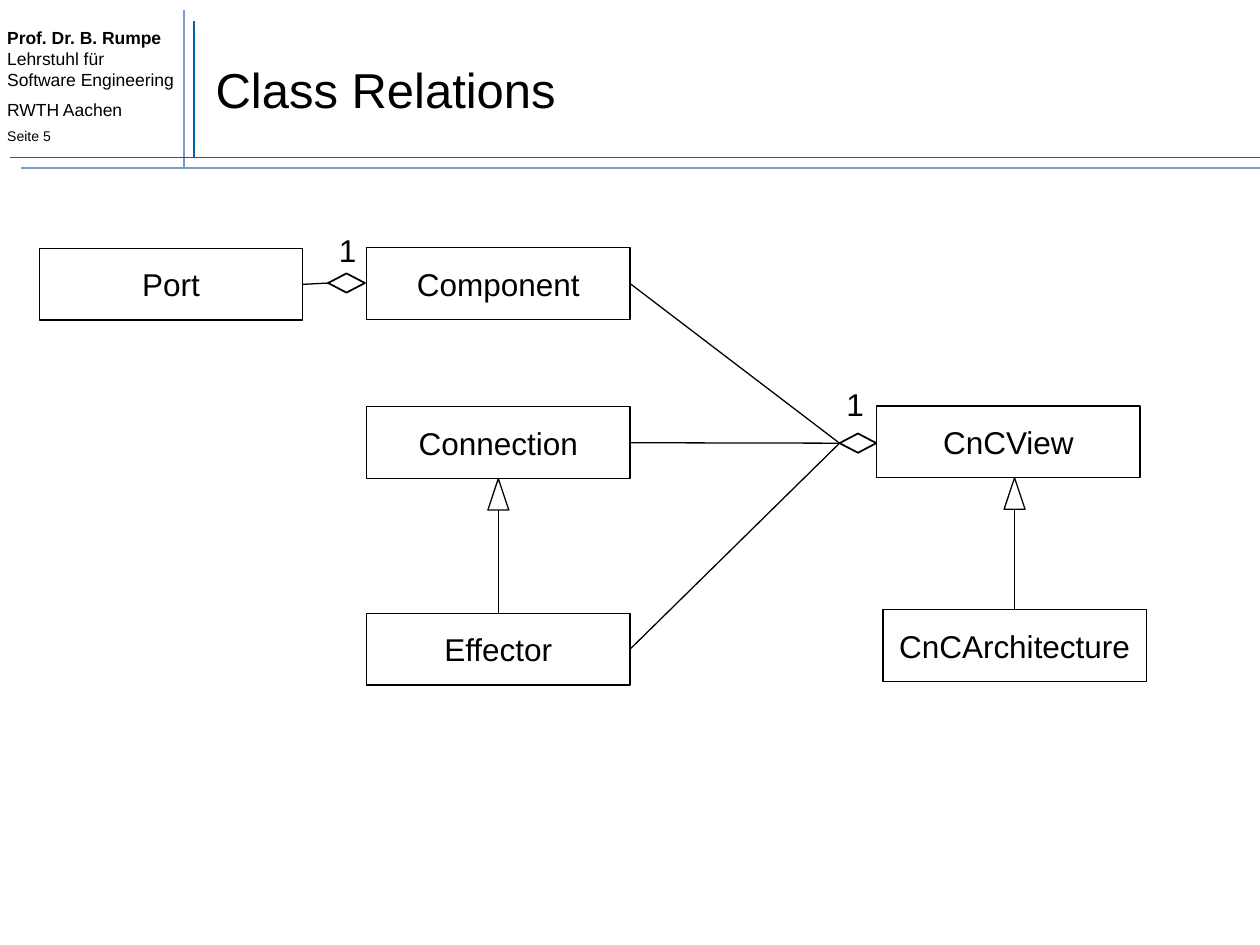
from lxml.etree import SubElement
from pptx import Presentation
from pptx.dml.color import RGBColor
from pptx.enum.shapes import MSO_CONNECTOR, MSO_SHAPE
from pptx.enum.text import MSO_ANCHOR, PP_ALIGN
from pptx.oxml.ns import qn
from pptx.util import Pt

BLACK = RGBColor(0, 0, 0)
WHITE = RGBColor(255, 255, 255)
DARK_BLUE = RGBColor(0x00, 0x67, 0xA6)
LIGHT_BLUE = RGBColor(0x77, 0x9E, 0xC9)
BOX_WIDTH, BOX_HEIGHT = 150.5, 41
TRIANGLE_WIDTH, TRIANGLE_HEIGHT = 12, 18

prs = Presentation()
prs.slide_width, prs.slide_height = Pt(720), Pt(540)
slide = prs.slides.add_slide(prs.slide_layouts[5])
shapes = slide.shapes


def write(paragraph, text, size, **extra):
    paragraph.text = text
    font_format = {"name": "Arial", "size": Pt(size), "bold": False} | extra
    for run in paragraph.runs:
        run.font.color.rgb = BLACK
        for attribute, value in font_format.items():
            setattr(run.font, attribute, value)


def draw_line(x1, y1, x2, y2, color=BLACK, width=0.75):
    line = shapes.add_connector(MSO_CONNECTOR.STRAIGHT, Pt(x1), Pt(y1), Pt(x2), Pt(y2))
    line.line.color.rgb = color
    line.line.width = Pt(width)
    SubElement(line._element.spPr, qn("a:effectLst"))
    return line


for x1, y1, x2, y2, color in [
    (111, 90, 111, 12, DARK_BLUE),
    (105, 96, 105, 6, LIGHT_BLUE),
    (6, 90, 720, 90, DARK_BLUE),
    (12, 96, 720, 96, LIGHT_BLUE),
]:
    draw_line(x1, y1, x2, y2, color, 1)

chair = shapes.add_textbox(Pt(-3), Pt(12), Pt(110.4), Pt(76)).text_frame
chair.word_wrap = True
write(chair.paragraphs[0], "Prof. Dr. B. Rumpe\vLehrstuhl für Software Engineering", 10)
chair.paragraphs[0].runs[0].font.bold = True
for text, size in [("RWTH Aachen", 10), ("Seite 5", 8)]:
    paragraph = chair.add_paragraph()
    paragraph.space_before = Pt(size / 2)
    write(paragraph, text, size)

title = shapes.title
for attribute, value in {"left": 116, "top": 18, "width": 595.5, "height": 66}.items():
    setattr(title, attribute, Pt(value))
title.text_frame.vertical_anchor = MSO_ANCHOR.MIDDLE
write(title.text_frame.paragraphs[0], "Class Relations", 28)
title.text_frame.paragraphs[0].alignment = PP_ALIGN.LEFT

classes = {}
for name, left, top in [
    ("CnCArchitecture", 504.5, 348.5),
    ("CnCView", 501, 232),
    ("Connection", 209.5, 232.5),
    ("Component", 209.5, 141.5),
    ("Effector", 209.5, 350.5),
    ("Port", 22.5, 142),
]:
    box = shapes.add_shape(MSO_SHAPE.RECTANGLE, Pt(left), Pt(top), Pt(BOX_WIDTH), Pt(BOX_HEIGHT))
    box.shadow.inherit = False
    box.fill.background()
    box.line.color.rgb = BLACK
    box.line.width = Pt(0.75)
    box.text_frame.vertical_anchor = MSO_ANCHOR.MIDDLE
    write(box.text_frame.paragraphs[0], name, 18)
    box.text_frame.paragraphs[0].alignment = PP_ALIGN.CENTER
    classes[name] = box

for child, parent in [("CnCArchitecture", "CnCView"), ("Effector", "Connection")]:
    center = classes[child].left.pt + BOX_WIDTH / 2
    tip = classes[parent].top.pt + BOX_HEIGHT
    triangle = shapes.add_shape(
        MSO_SHAPE.ISOSCELES_TRIANGLE, Pt(center - TRIANGLE_WIDTH / 2), Pt(tip),
        Pt(TRIANGLE_WIDTH), Pt(TRIANGLE_HEIGHT))
    triangle.shadow.inherit = False
    triangle.fill.background()
    triangle.line.color.rgb = BLACK
    triangle.line.width = Pt(0.75)
    inheritance = draw_line(center, classes[child].top.pt, center, tip + TRIANGLE_HEIGHT)
    inheritance.begin_connect(classes[child], 0)

for left, top, label_left, label_top, parts in [
    (479.75, 247.75, 476.5, 216.75, ["Component", "Connection", "Effector"]),
    (187.5, 156.25, 186.5, 128.25, ["Port"]),
]:
    diamond = shapes.add_shape(MSO_SHAPE.DIAMOND, Pt(left), Pt(top), Pt(21), Pt(11))
    diamond.shadow.inherit = False
    diamond.fill.solid()
    diamond.fill.fore_color.rgb = WHITE
    diamond.line.color.rgb = BLACK
    diamond.line.width = Pt(1)
    for part in parts:
        aggregation = draw_line(0, 0, left, top)
        aggregation.begin_connect(classes[part], 3)
        aggregation.end_connect(diamond, 1)
    multiplicity = shapes.add_textbox(Pt(label_left), Pt(label_top), Pt(23), Pt(29))
    write(multiplicity.text_frame.paragraphs[0], "1", 18)

prs.save("out.pptx")
